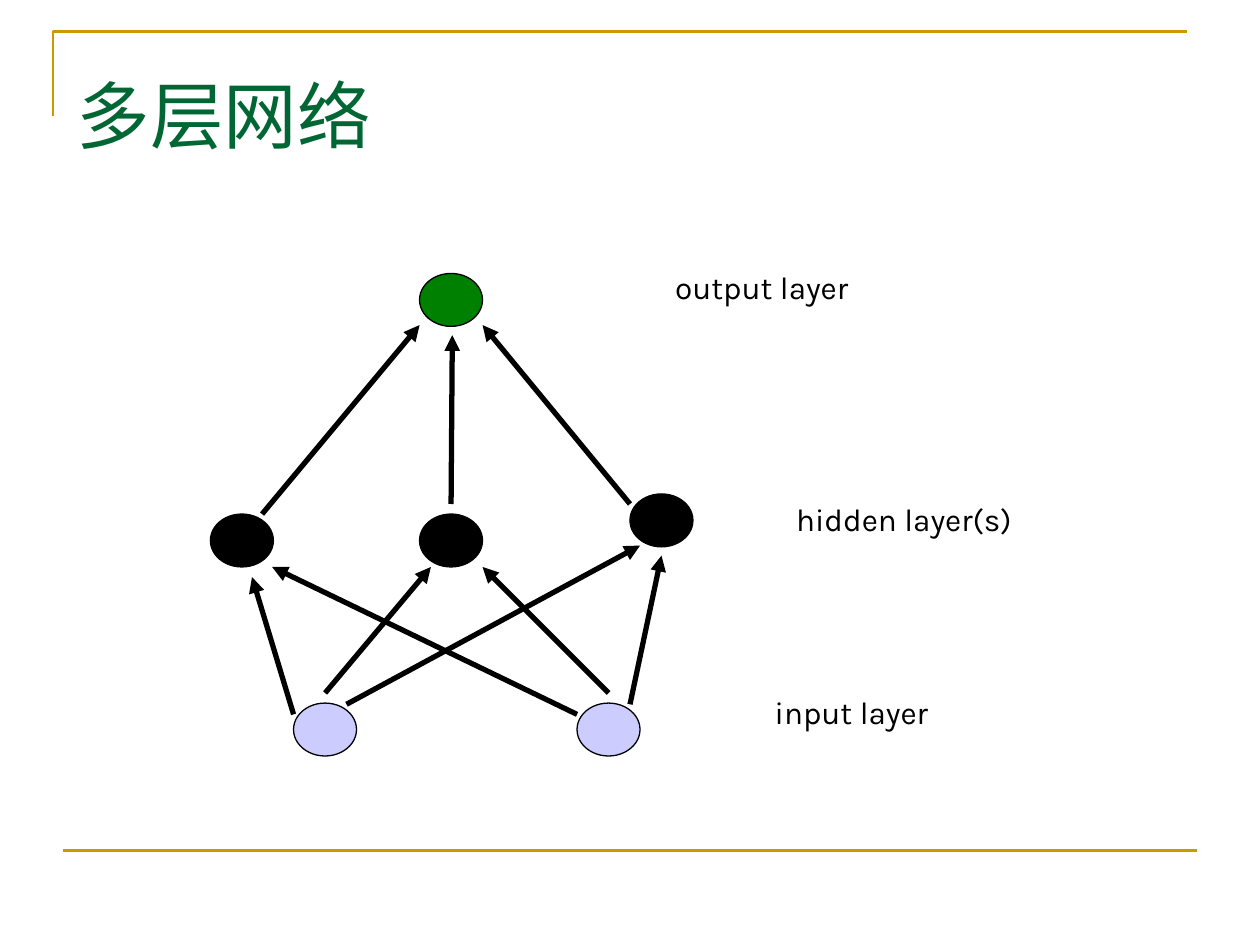
from dataclasses import dataclass
from typing import NamedTuple

import pptx
import pptx.dml.color
import pptx.enum.shapes
import pptx.enum.text
import pptx.oxml
import pptx.oxml.ns
import pptx.util

Inches = pptx.util.Inches
Pt = pptx.util.Pt


@dataclass(frozen=True)
class Theme:
    rule: str = "CC9900"
    title: str = "006633"
    ink: str = "000000"
    input_fill: str = "CCCCFF"
    hidden_fill: str = "000000"
    output_fill: str = "008000"
    title_font: str = "Times New Roman"
    label_font: str = "Karla"
    title_size: float = 42
    label_size: float = 18
    rule_width: float = 1.5
    outline_width: float = 0.75
    arrow_width: float = 3


class Neuron(NamedTuple):
    left: float
    top: float
    fill: str


class Link(NamedTuple):
    x1: float
    y1: float
    x2: float
    y2: float


class LayerLabel(NamedTuple):
    text: str
    left: float
    top: float
    width: float


THEME = Theme()
NEURON_WIDTH, NEURON_HEIGHT = 0.5, 0.42
LABEL_HEIGHT = 0.4

NEURONS = [
    Neuron(2.33, 5.58, THEME.input_fill),
    Neuron(4.58, 5.58, THEME.input_fill),
    Neuron(1.67, 4.08, THEME.hidden_fill),
    Neuron(3.33, 4.08, THEME.hidden_fill),
    Neuron(5, 3.92, THEME.hidden_fill),
    Neuron(3.33, 2.17, THEME.output_fill),
]

LINKS = [
    # first input to the hidden layer
    Link(2.33, 5.67, 2, 4.58),
    Link(2.58, 5.5, 3.42, 4.5),
    Link(2.75, 5.59, 5.08, 4.33),
    # second input to the hidden layer
    Link(4.58, 5.67, 2.16, 4.5),
    Link(4.83, 5.5, 3.83, 4.5),
    Link(5, 5.59, 5.25, 4.41),
    # hidden layer to the output
    Link(2.08, 4.08, 3.33, 2.58),
    Link(3.58, 4, 3.59, 2.66),
    Link(5, 4, 3.83, 2.58),
]

LABELS = [
    LayerLabel("output layer", 5.26, 2.08, 1.63),
    LayerLabel("hidden layer(s)", 6.22, 3.92, 1.93),
    LayerLabel("input layer", 6.05, 5.45, 1.46),
]


def rgb(value: str) -> pptx.dml.color.RGBColor:
    return pptx.dml.color.RGBColor.from_string(value)


def set_line(line, color: str, width: float) -> None:
    line.color.rgb = rgb(color)
    line.width = Pt(width)


def write_text(frame, text: str, *, font: str, size: float, color: str) -> None:
    paragraph = frame.paragraphs[0]
    paragraph.alignment = pptx.enum.text.PP_ALIGN.LEFT
    run = paragraph.add_run()
    run.text = text
    run.font.name = font
    run.font.size = Pt(size)
    run.font.color.rgb = rgb(color)


def draw_line(slide, link: Link, color: str, width: float, arrow: bool = False) -> None:
    connector = slide.shapes.add_connector(
        pptx.enum.shapes.MSO_CONNECTOR.STRAIGHT, *(Inches(value) for value in link)
    )
    set_line(connector.line, color, width)
    if arrow:
        tip = pptx.oxml.parse_xml(
            f'<a:tailEnd {pptx.oxml.ns.nsdecls("a")} type="triangle"/>'
        )
        connector.line._get_or_add_ln().append(tip)
    no_shadow = pptx.oxml.parse_xml(f'<a:effectLst {pptx.oxml.ns.nsdecls("a")}/>')
    connector._element.spPr.append(no_shadow)


def draw_frame(slide) -> None:
    """Draw the corner rule at the top and the straight rule at the bottom."""
    builder = slide.shapes.build_freeform(Inches(0.42), Inches(0.92))
    builder.add_line_segments(
        [(Inches(0.42), Inches(0.25)), (Inches(9.42), Inches(0.25))], close=False
    )
    corner = builder.convert_to_shape()
    corner.shadow.inherit = False
    corner.fill.background()
    set_line(corner.line, THEME.rule, THEME.rule_width)
    draw_line(slide, Link(0.5, 6.75, 9.5, 6.75), THEME.rule, THEME.rule_width)


def draw_title(slide, text: str) -> None:
    title = slide.shapes.title
    title.left, title.top = Inches(0.51), Inches(0.28)
    title.width, title.height = Inches(9), Inches(1.25)
    title.text_frame.vertical_anchor = pptx.enum.text.MSO_ANCHOR.MIDDLE
    write_text(title.text_frame, text, font=THEME.title_font,
               size=THEME.title_size, color=THEME.title)


def draw_neuron(slide, neuron: Neuron) -> None:
    ellipse = slide.shapes.add_shape(
        pptx.enum.shapes.MSO_SHAPE.OVAL, Inches(neuron.left), Inches(neuron.top),
        Inches(NEURON_WIDTH), Inches(NEURON_HEIGHT),
    )
    ellipse.shadow.inherit = False
    ellipse.fill.solid()
    ellipse.fill.fore_color.rgb = rgb(neuron.fill)
    set_line(ellipse.line, THEME.ink, THEME.outline_width)


def draw_label(slide, label: LayerLabel) -> None:
    box = slide.shapes.add_textbox(
        Inches(label.left), Inches(label.top), Inches(label.width), Inches(LABEL_HEIGHT)
    )
    box.text_frame.word_wrap = False
    box.text_frame.auto_size = pptx.enum.text.MSO_AUTO_SIZE.SHAPE_TO_FIT_TEXT
    write_text(box.text_frame, label.text, font=THEME.label_font,
               size=THEME.label_size, color=THEME.ink)


def main() -> None:
    deck = pptx.Presentation()
    deck.slide_width, deck.slide_height = Inches(10), Inches(7.5)
    slide = deck.slides.add_slide(deck.slide_layouts.get_by_name("Title Only"))
    draw_frame(slide)
    draw_title(slide, "多层网络")
    for neuron in NEURONS:
        draw_neuron(slide, neuron)
    for link in LINKS:
        draw_line(slide, link, THEME.ink, THEME.arrow_width, arrow=True)
    for label in LABELS:
        draw_label(slide, label)
    deck.save("out.pptx")


if __name__ == "__main__":
    main()
